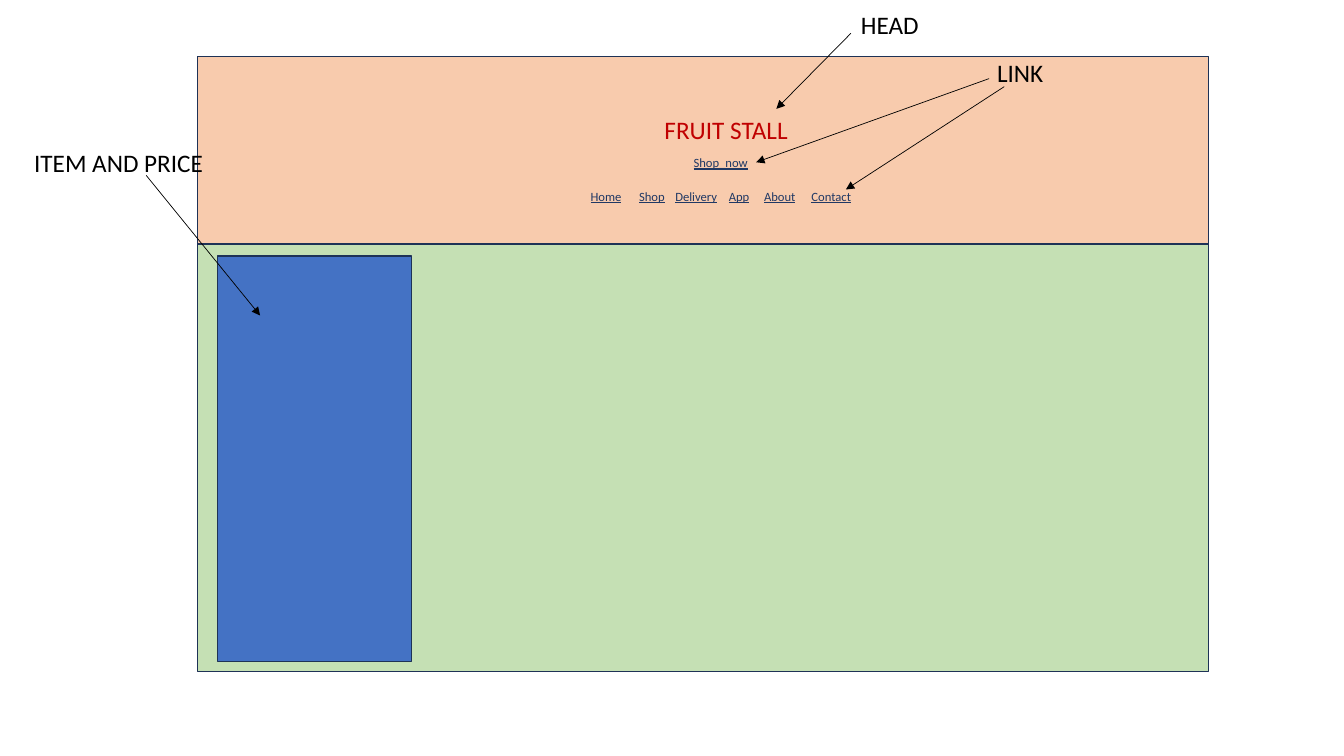
from dataclasses import dataclass

from lxml import etree
from pptx import Presentation
from pptx.dml.color import RGBColor
from pptx.enum.shapes import MSO_CONNECTOR, MSO_SHAPE
from pptx.enum.text import MSO_ANCHOR, MSO_AUTO_SIZE, PP_ALIGN
from pptx.oxml.ns import qn
from pptx.shapes.autoshape import Shape
from pptx.slide import Slide
from pptx.util import Inches, Pt

RECTANGLE = MSO_SHAPE.RECTANGLE
STRAIGHT = MSO_CONNECTOR.STRAIGHT
TOP = MSO_ANCHOR.TOP
LEFT = PP_ALIGN.LEFT
FIT_SHAPE = MSO_AUTO_SIZE.SHAPE_TO_FIT_TEXT

TITLE_ONLY_LAYOUT = 5
FONT = "Calibri"
BLACK = "000000"
BORDER = "1E3256"
LINK_BLUE = "203864"
TITLE_RED = "C00000"


@dataclass(frozen=True)
class Panel:
    left: float
    top: float
    width: float
    height: float
    fill: str


@dataclass(frozen=True)
class Label:
    text: str
    left: float
    top: float
    width: float
    height: float = 0.4
    size: int = 18
    color: str = BLACK
    underline: bool = False
    tab_stops: tuple[float, ...] = ()


@dataclass(frozen=True)
class Arrow:
    start: tuple[float, float]
    end: tuple[float, float]


PANELS = [
    Panel(1.96, 0.58, 10.03, 6.08, "C5E0B4"),  # page body
    Panel(1.96, 0.56, 10.03, 1.86, "F8CBAD"),  # page header
    Panel(2.16, 2.54, 1.92, 4.02, "4472C4"),  # item card
]

TITLE = Label("FRUIT STALL", 6.49, 1.08, 1.76, color=TITLE_RED)
MENU = ("Home", "Shop", "Delivery", "App", "About", "Contact")
LABELS = [
    Label("HEAD", 8.44, 0.04, 1.44),
    Label("LINK", 9.79, 0.52, 1.28),
    Label("ITEM AND PRICE", 0.24, 1.41, 2.32),
    Label("Shop_now", 6.78, 1.49, 1.85, 0.25, 9, LINK_BLUE, True),
    Label("\t".join(MENU), 5.76, 1.82, 3.04, 0.25, 9, LINK_BLUE, True,
          (0.48, 0.84, 1.37, 1.72, 2.19)),
]

ARROWS = [
    Arrow((8.44, 0.33), (7.7, 1.08)),  # head to title
    Arrow((9.96, 0.86), (8.39, 1.88)),  # link to menu
    Arrow((9.81, 0.78), (7.5, 1.61)),  # link to shop link
    Arrow((1.45, 1.74), (2.58, 3.13)),  # item and price to card
]


def rgb(color: str) -> RGBColor:
    return RGBColor.from_string(color)


def draw_panel(slide: Slide, panel: Panel) -> None:
    shape = slide.shapes.add_shape(
        RECTANGLE, Inches(panel.left), Inches(panel.top),
        Inches(panel.width), Inches(panel.height))
    shape.shadow.inherit = False
    shape.fill.solid()
    shape.fill.fore_color.rgb = rgb(panel.fill)
    shape.line.color.rgb = rgb(BORDER)
    shape.line.width = Pt(1)


def write_label(shape: Shape, label: Label) -> None:
    shape.left, shape.top = Inches(label.left), Inches(label.top)
    shape.width, shape.height = Inches(label.width), Inches(label.height)
    frame = shape.text_frame
    frame.word_wrap = True
    frame.auto_size = FIT_SHAPE
    frame.vertical_anchor = TOP
    paragraph = frame.paragraphs[0]
    paragraph.alignment = LEFT
    if label.tab_stops:
        properties = paragraph._p.get_or_add_pPr()
        tab_list = etree.SubElement(properties, qn("a:tabLst"))
        for stop in label.tab_stops:
            etree.SubElement(tab_list, qn("a:tab"), pos=str(Inches(stop)), algn="l")
    run = paragraph.add_run()
    run.text = label.text
    run.font.name = FONT
    run.font.size = Pt(label.size)
    run.font.color.rgb = rgb(label.color)
    run.font.underline = label.underline


def draw_label(slide: Slide, label: Label) -> None:
    box = slide.shapes.add_textbox(
        Inches(label.left), Inches(label.top),
        Inches(label.width), Inches(label.height))
    write_label(box, label)


def draw_arrow(slide: Slide, arrow: Arrow) -> None:
    points = [Inches(value) for value in arrow.start + arrow.end]
    connector = slide.shapes.add_connector(STRAIGHT, *points)
    connector.line.color.rgb = rgb(BLACK)
    connector.line.width = Pt(0.5)
    etree.SubElement(connector.line._get_or_add_ln(), qn("a:tailEnd"), type="triangle")
    etree.SubElement(connector.element.spPr, qn("a:effectLst"))


def main() -> None:
    presentation = Presentation()
    presentation.slide_width = Inches(13.33)
    presentation.slide_height = Inches(7.5)
    slide = presentation.slides.add_slide(presentation.slide_layouts[TITLE_ONLY_LAYOUT])

    # Page areas
    for panel in PANELS:
        draw_panel(slide, panel)

    # Title, brought in front of the page areas
    title = slide.shapes.title
    write_label(title, TITLE)
    slide.shapes[-1].element.addnext(title.element)

    # Links and annotations
    for label in LABELS:
        draw_label(slide, label)
    for arrow in ARROWS:
        draw_arrow(slide, arrow)

    presentation.save("out.pptx")


if __name__ == "__main__":
    main()
